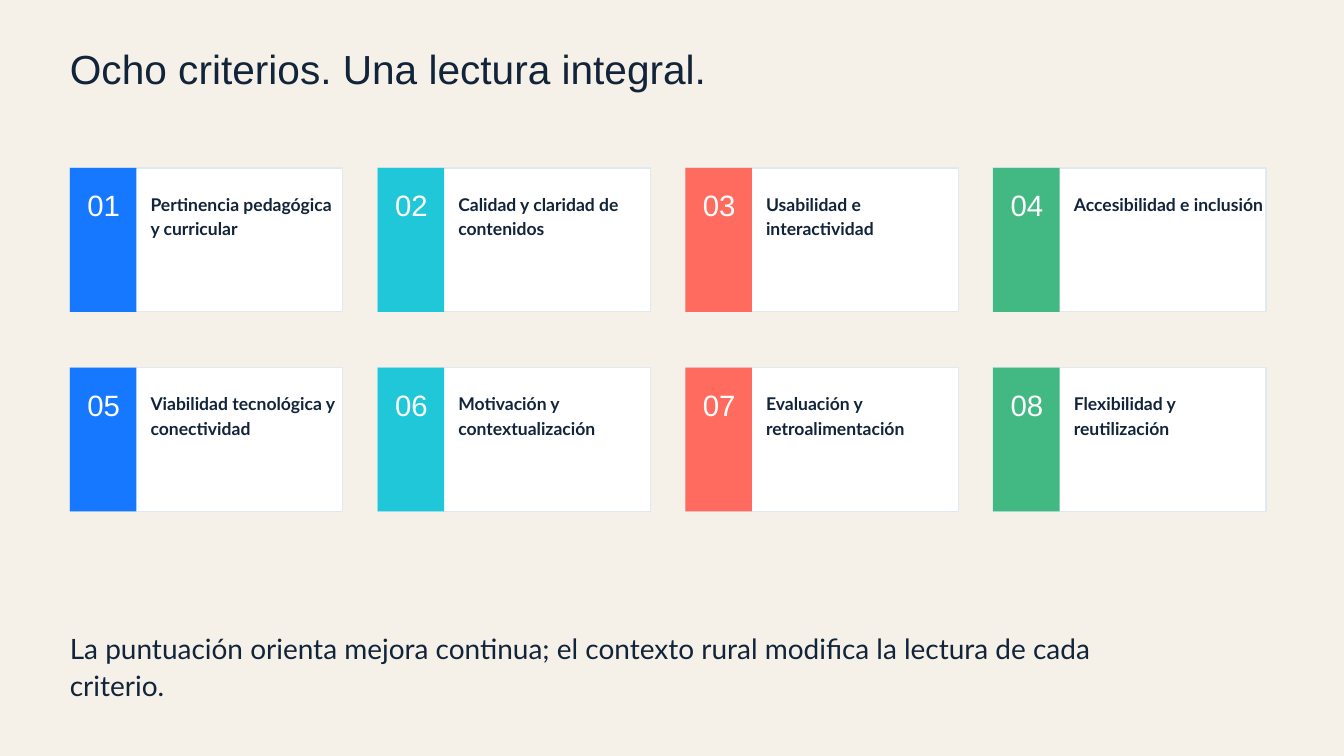
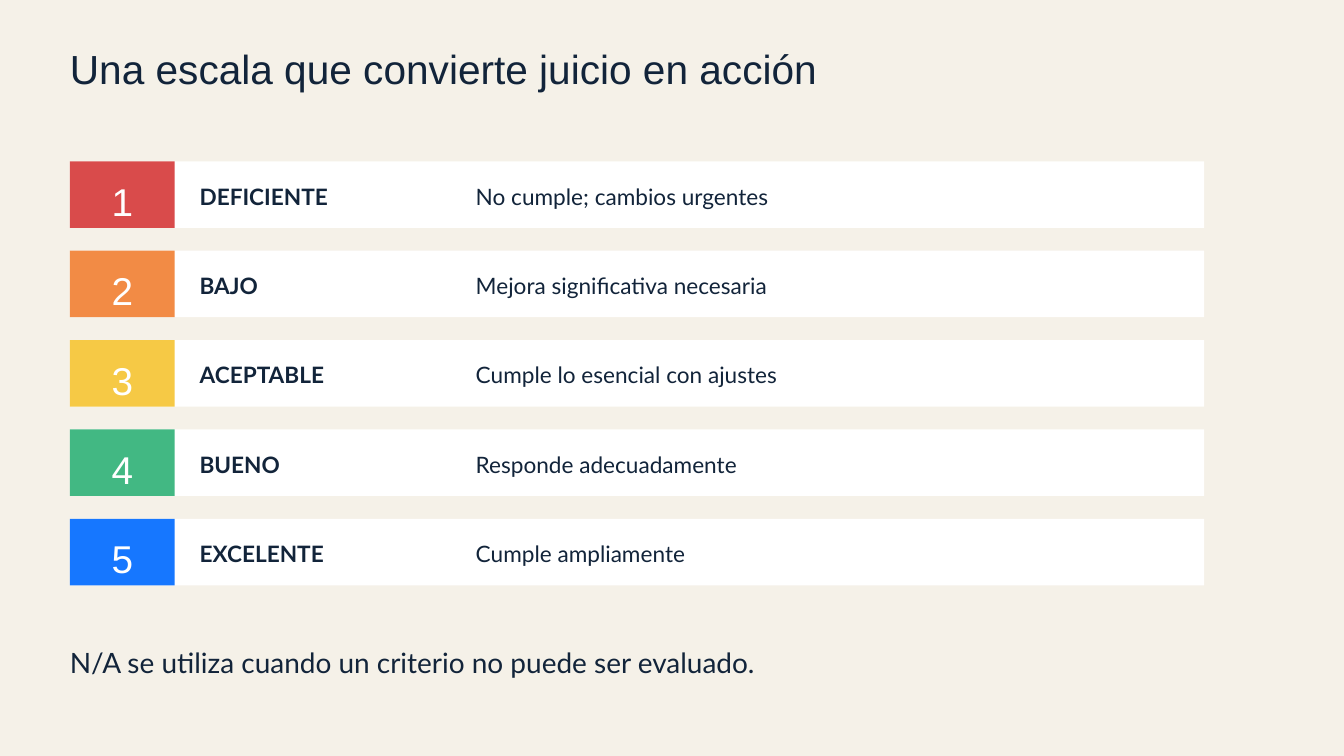
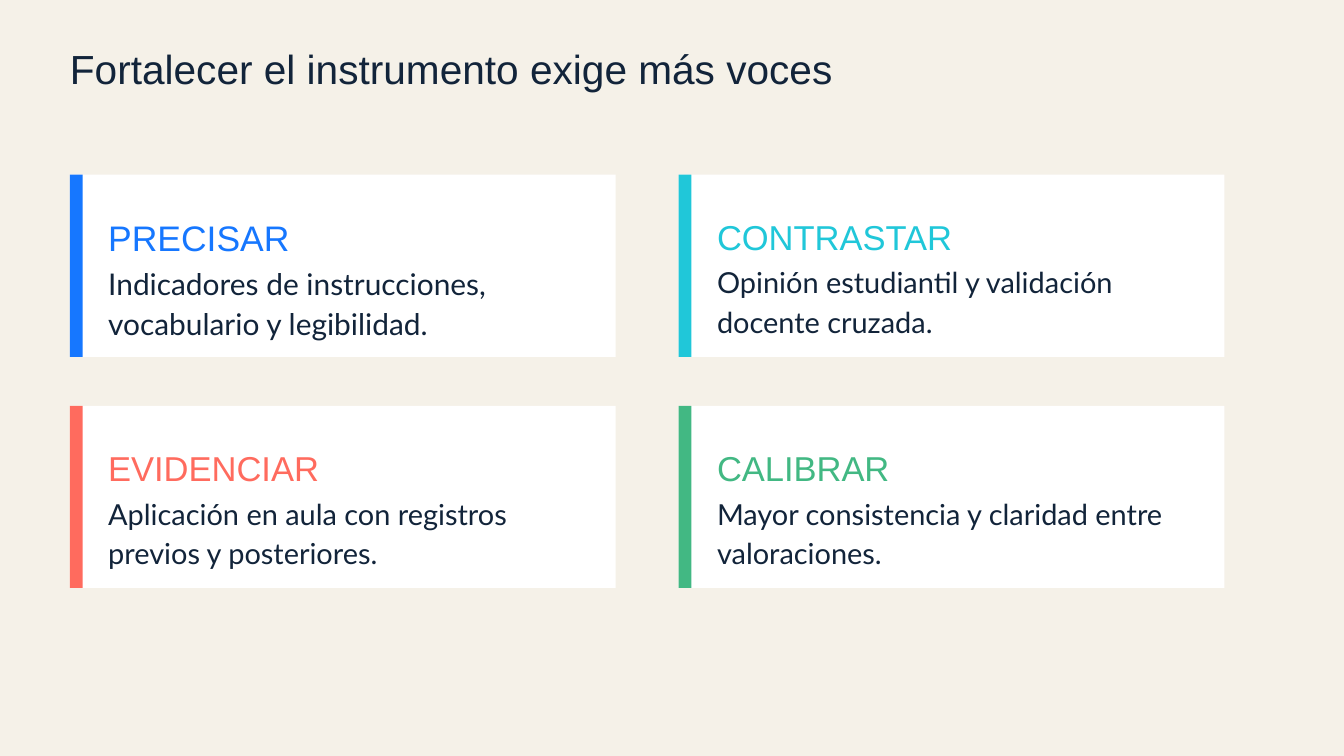
from pptx import Presentation
from pptx.dml.color import RGBColor
from pptx.enum.shapes import MSO_SHAPE
from pptx.enum.text import MSO_AUTO_SIZE, PP_ALIGN
from pptx.util import Inches, Pt

SAND, INK, WHITE, EDGE = "F5F1E8", "12243A", "FFFFFF", "DFE9EF"
BLUE, CYAN, CORAL, GREEN = "1677FF", "20C7D9", "FF6B5E", "42B883"
RED, ORANGE, YELLOW = "D94B4B", "F28B45", "F6C945"
HEAD, BODY = "Arial", "Lato"
LEFT = 1.04

CRITERIA = [
    "Pertinencia pedagógica y curricular",
    "Calidad y claridad de contenidos",
    "Usabilidad e interactividad",
    "Accesibilidad e inclusión",
    "Viabilidad tecnológica y conectividad",
    "Motivación y contextualización",
    "Evaluación y retroalimentación",
    "Flexibilidad y reutilización",
]
LEVELS = [
    ("DEFICIENTE", "No cumple; cambios urgentes", RED),
    ("BAJO", "Mejora significativa necesaria", ORANGE),
    ("ACEPTABLE", "Cumple lo esencial con ajustes", YELLOW),
    ("BUENO", "Responde adecuadamente", GREEN),
    ("EXCELENTE", "Cumple ampliamente", BLUE),
]
# Heading, text, colour, heading size, text size
ACTIONS = [
    ("PRECISAR", "Indicadores de instrucciones, vocabulario y legibilidad.", BLUE, 38, 32),
    ("CONTRASTAR", "Opinión estudiantil y validación docente cruzada.", CYAN, 37, 31),
    ("EVIDENCIAR", "Aplicación en aula con registros previos y posteriores.", CORAL, 37, 31),
    ("CALIBRAR", "Mayor consistencia y claridad entre valoraciones.", GREEN, 37, 31),
]


def color(code):
    return RGBColor.from_string(code)


def rect(shapes, x, y, w, h, fill, line=None):
    box = shapes.add_shape(MSO_SHAPE.RECTANGLE, Inches(x), Inches(y), Inches(w), Inches(h))
    box.shadow.inherit = False
    box.fill.solid()
    box.fill.fore_color.rgb = color(fill)
    if line:
        box.line.color.rgb = color(line)
        box.line.width = Pt(1.5)
    else:
        box.line.fill.background()


def write(shapes, x, y, w, h, text, size, face=BODY, ink=INK, lead=1.4,
          bold=False, align=PP_ALIGN.LEFT):
    """Add a text box without margins; lead is the line height over the size."""
    box = shapes.add_textbox(Inches(x), Inches(y), Inches(w), Inches(h))
    frame = box.text_frame
    frame.margin_left = frame.margin_right = frame.margin_top = frame.margin_bottom = 0
    frame.word_wrap = True
    frame.auto_size = MSO_AUTO_SIZE.SHAPE_TO_FIT_TEXT
    frame.text = text
    para = frame.paragraphs[0]
    para.alignment = align
    para.line_spacing = Pt(size * lead)
    font = para.runs[0].font
    font.name, font.size, font.bold = face, Pt(size), bold
    font.color.rgb = color(ink)


def start(deck, title):
    """Add a slide with the shared background and title; return its shapes."""
    slide = deck.slides.add_slide(deck.slide_layouts[6])
    slide.background.fill.solid()
    slide.background.fill.fore_color.rgb = color(SAND)
    write(slide.shapes, LEFT, 0.74, 15.62, 0.65, title, 43.5, HEAD, lead=1.05)
    return slide.shapes


def note(shapes, y, w, text):
    write(shapes, LEFT, y, w, 0.53, text, 30, lead=1.35)


def card(shapes, x, y, num, text, fill):
    group = shapes.add_group_shape().shapes
    rect(group, x, y, 4.06, 2.14, WHITE, EDGE)
    rect(group, x, y, 0.99, 2.14, fill)
    write(group, x + 0.26, y + 0.2, 0.83, 0.58, f"{num:02}", 31.5, HEAD, WHITE)
    write(group, x + 1.2, y + 0.33, 2.86, 0.71, text, 18.8, bold=True)


def level(shapes, x, y, num, name, text, fill):
    group = shapes.add_group_shape().shapes
    rect(group, x, y, 16.88, 0.99, WHITE)
    rect(group, x, y, 1.56, 0.99, fill)
    write(group, x + 0.31, y + 0.13, 0.94, 0.76, str(num), 41.5, HEAD, WHITE,
          align=PP_ALIGN.CENTER)
    write(group, x + 1.93, y + 0.25, 3.65, 0.44, name, 24.2, bold=True)
    write(group, x + 6.04, y + 0.25, 9.9, 0.44, text, 24.2)


def action(shapes, x, y, name, text, fill, big, small):
    group = shapes.add_group_shape().shapes
    rect(group, x, y, 8.12, 2.71, WHITE)
    rect(group, x, y, 0.19, 2.71, fill)
    write(group, x + 0.57, y + 0.51, 4.57, 0.68, name, big, HEAD, fill)
    write(group, x + 0.57, y + 1.28, 7.08, 1.11, text, small, lead=1.35)


def criteria(deck):
    shapes = start(deck, "Ocho criterios. Una lectura integral.")
    hues = [BLUE, CYAN, CORAL, GREEN]
    for i, text in enumerate(CRITERIA):
        row, col = divmod(i, 4)
        card(shapes, LEFT + 4.58 * col, 2.5 + 2.97 * row, i + 1, text, hues[col])
    note(shapes, 9.33, 16.67, "La puntuación orienta mejora continua; el contexto rural "
         "modifica la lectura de cada criterio.")


def scale(deck):
    shapes = start(deck, "Una escala que convierte juicio en acción")
    for i, (name, text, fill) in enumerate(LEVELS):
        level(shapes, LEFT, 2.4 + 1.33 * i, i + 1, name, text, fill)
    note(shapes, 9.54, 12.5, "N/A se utiliza cuando un criterio no puede ser evaluado.")


def actions(deck):
    shapes = start(deck, "Fortalecer el instrumento exige más voces")
    for i, item in enumerate(ACTIONS):
        row, col = divmod(i, 2)
        action(shapes, LEFT + 9.06 * col, 2.6 + 3.44 * row, *item)


def main():
    deck = Presentation()
    deck.slide_width, deck.slide_height = Inches(20), Inches(11.25)
    criteria(deck)
    scale(deck)
    actions(deck)
    deck.save("out.pptx")


if __name__ == "__main__":
    main()
